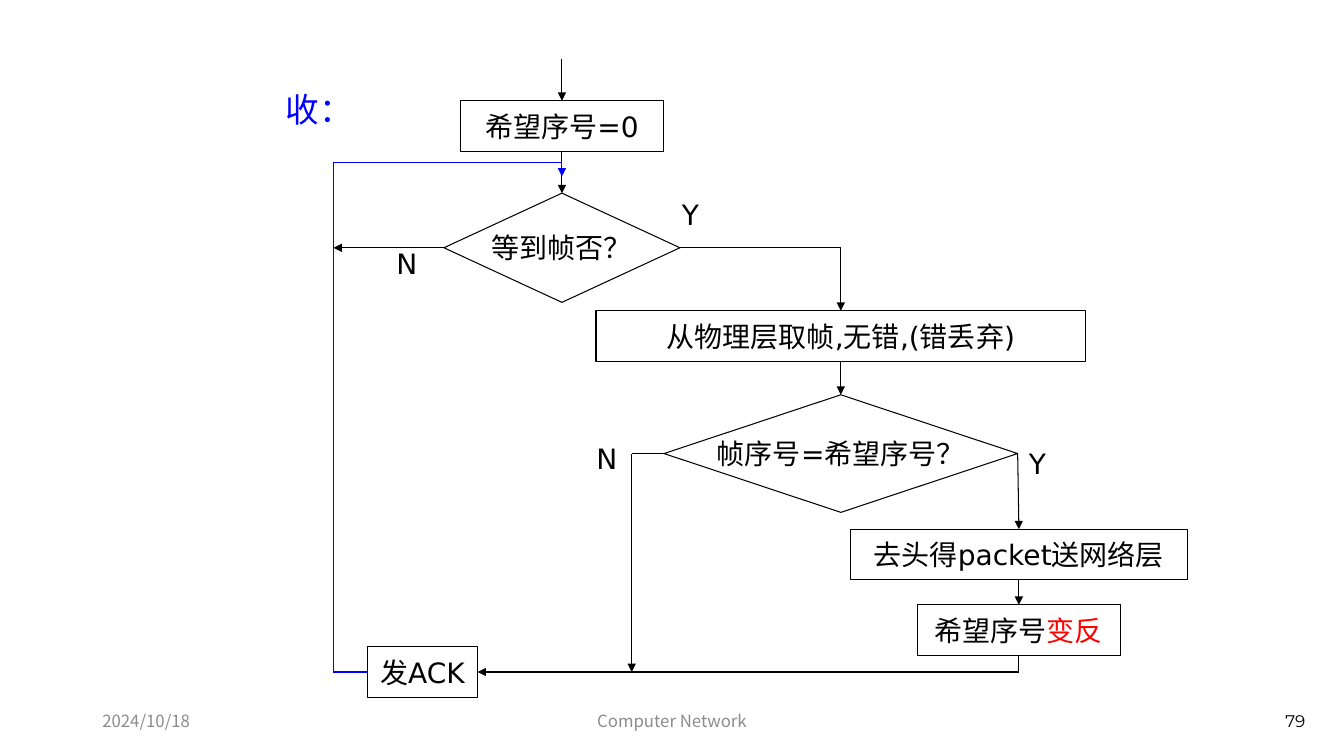
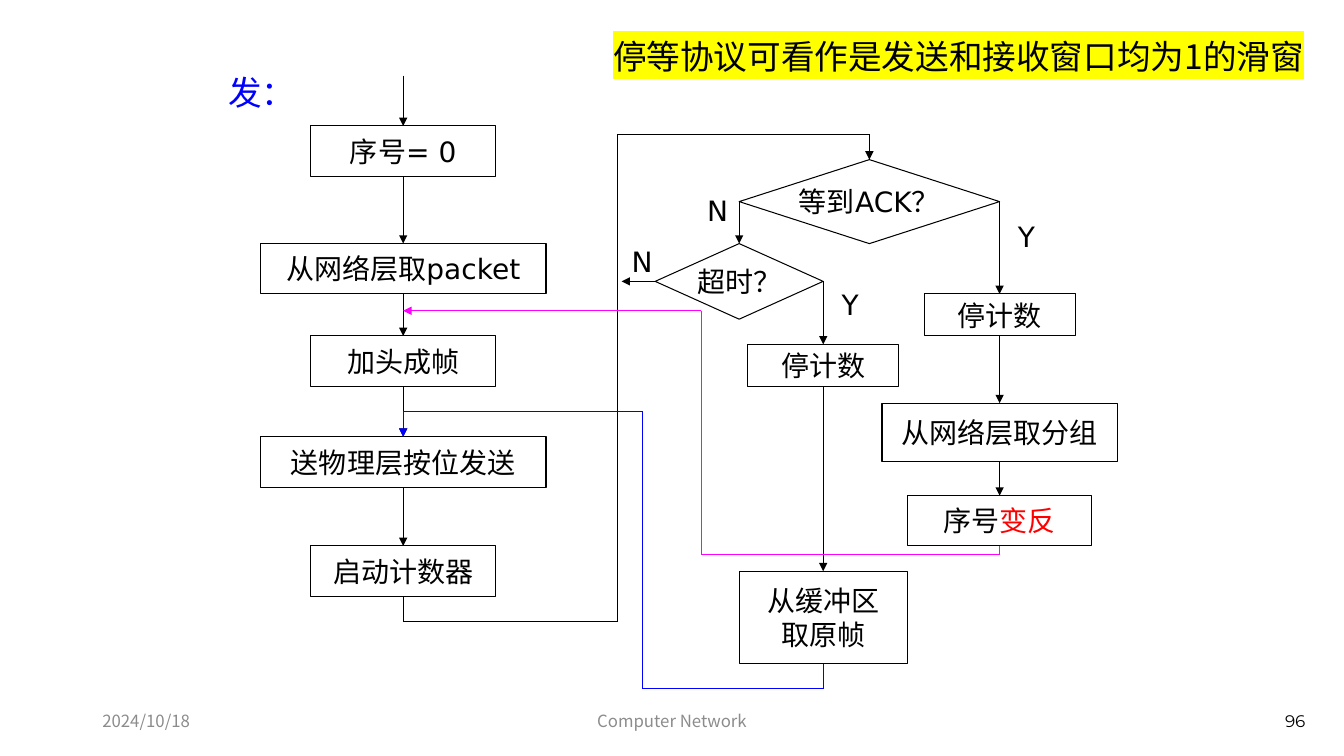
from itertools import pairwise

from lxml import etree
from pptx import Presentation
from pptx.dml.color import RGBColor
from pptx.enum.shapes import MSO_CONNECTOR, MSO_SHAPE
from pptx.enum.text import MSO_ANCHOR, PP_ALIGN
from pptx.oxml.ns import qn
from pptx.util import Inches, Pt

PROCESS = MSO_SHAPE.FLOWCHART_PROCESS
DECISION = MSO_SHAPE.FLOWCHART_DECISION
DIAMOND = MSO_SHAPE.DIAMOND
STRAIGHT = MSO_CONNECTOR.STRAIGHT
LEFT_ALIGN, CENTER, RIGHT_ALIGN = PP_ALIGN.LEFT, PP_ALIGN.CENTER, PP_ALIGN.RIGHT
ANCHOR_TOP, ANCHOR_MIDDLE = MSO_ANCHOR.TOP, MSO_ANCHOR.MIDDLE
TOP, LEFT, BOTTOM, RIGHT = range(4)

COLORS = {"ink": "000000", "blue": "0000FF", "magenta": "FF00FF",
          "red": "FF0000", "gray": "8C8C8C", "yellow": "FFFF00"}
SANS, CJK, NUMBER = "DejaVu Sans", "Noto Sans CJK SC", "Montserrat"
WIDTH, HEIGHT = Inches(13.33), Inches(7.5)
COLUMNS, ROWS = 160, 90
FOOTER_TOP, FOOTER_HEIGHT = 83.4, 4.8

# Lengths below are grid cells: a box is centre x, centre y, width, height.
RECEIVER = {
    "number": "79",
    "heading": ("收：", 32.8, 10),
    "labels": [("N", 69.8, 52), ("Y", 121.3, 52.6), ("Y", 80, 22.9), ("N", 46, 28.7)],
    "boxes": {
        "init": (PROCESS, 66.9, 15, 24.1, 6, "希望序号=0"),
        "wait": (DECISION, 66.9, 29.5, 28.1, 13, "等到帧否？"),
        "get": (PROCESS, 100.1, 40, 58.3, 6, "从物理层取帧,无错,(错丢弃)"),
        "compare": (DIAMOND, 100.1, 54, 42.1, 14, "帧序号=希望序号？"),
        "strip": (PROCESS, 121.3, 66, 40.1, 6, "去头得packet送网络层"),
        "flip": (PROCESS, 121.3, 75, 24.1, 6, "希望序号|变反"),
        "ack": (PROCESS, 50.3, 80, 13.1, 6, "发ACK"),
    },
    "routes": [
        ("ink", [(66.9, 7), ("init", TOP)]),
        ("ink", [("init", BOTTOM), ("wait", TOP)]),
        ("ink", [("wait", RIGHT), (100.1, 29.5), ("get", TOP)]),
        ("ink", [("wait", LEFT), (39.7, 29.5)]),
        ("ink", [("get", BOTTOM), ("compare", TOP)]),
        ("ink", [("compare", LEFT), (75.2, 54), (75.2, 80)]),
        ("ink", [("compare", RIGHT), ("strip", TOP)]),
        ("ink", [("strip", BOTTOM), ("flip", TOP)]),
        ("ink", [("flip", BOTTOM), (121.3, 80), ("ack", RIGHT)]),
        ("blue", [("ack", LEFT), (39.7, 80), (39.7, 19.3), (66.9, 19.3), (66.9, 21)]),
    ],
}

SENDER = {
    "number": "96",
    "heading": ("发：", 26, 8),
    "note": ("停等协议可看作是发送和接收窗口均为1的滑窗", 71.8, 3.7, 85.3, 6),
    "labels": [("N", 83, 22.5), ("Y", 120, 25.5), ("N", 74, 28.5), ("Y", 99, 33.6)],
    "boxes": {
        "init": (PROCESS, 48, 18, 22, 6, "序号= 0"),
        "fetch": (PROCESS, 48, 32, 34, 6, "从网络层取packet"),
        "frame": (PROCESS, 48, 43, 22, 6, "加头成帧"),
        "send": (PROCESS, 48, 55, 34, 6, "送物理层按位发送"),
        "timer": (PROCESS, 48, 68, 22, 6, "启动计数器"),
        "ack": (DIAMOND, 103.5, 24, 31, 10, "等到ACK？"),
        "timeout": (DIAMOND, 88, 33.5, 20, 9, "超时？"),
        "ack stop": (PROCESS, 119, 37.5, 18, 5, "停计数"),
        "next": (PROCESS, 119, 51.5, 28, 7, "从网络层取分组"),
        "flip": (PROCESS, 119, 62, 22, 6, "序号|变反"),
        "timeout stop": (PROCESS, 98, 43.5, 18, 5, "停计数"),
        "buffer": (PROCESS, 98, 73.5, 20, 11, "从缓冲区\n取原帧"),
    },
    "routes": [
        ("ink", [(48, 9), ("init", TOP)]),
        ("ink", [("init", BOTTOM), ("fetch", TOP)]),
        ("ink", [("fetch", BOTTOM), ("frame", TOP)]),
        ("ink", [("frame", BOTTOM), ("send", TOP)]),
        ("ink", [("send", BOTTOM), ("timer", TOP)]),
        ("ink", [("timer", BOTTOM), (48, 74), (73.5, 74), (73.5, 16), (103.5, 16), ("ack", TOP)]),
        ("ink", [("ack", LEFT), ("timeout", TOP)]),
        ("ink", [("ack", RIGHT), ("ack stop", TOP)]),
        ("ink", [("timeout", LEFT), (74, 33.5)]),
        ("ink", [("timeout", RIGHT), ("timeout stop", TOP)]),
        ("ink", [("timeout stop", BOTTOM), ("buffer", TOP)]),
        ("ink", [("ack stop", BOTTOM), ("next", TOP)]),
        ("ink", [("next", BOTTOM), ("flip", TOP)]),
        ("blue", [("buffer", BOTTOM), (98, 82), (76.5, 82), (76.5, 49), (48, 49), ("send", TOP)]),
        ("magenta", [("flip", BOTTOM), (119, 66), (83.5, 66), (83.5, 37), (48, 37)]),
    ],
}


def rgb(name):
    return RGBColor.from_string(COLORS[name])


def across(cells):
    return round(WIDTH * cells / COLUMNS)


def down(cells):
    return round(HEIGHT * cells / ROWS)


def area(left, top, width, height):
    return across(left), down(top), across(width), down(height)


def write(shape, text, size=20, color="ink", font=SANS, align=CENTER,
          anchor=ANCHOR_MIDDLE, wrap=False, highlight=None):
    frame = shape.text_frame
    frame.word_wrap = wrap
    frame.vertical_anchor = anchor
    for index, line in enumerate(text.split("\n")):
        para = frame.add_paragraph() if index else frame.paragraphs[0]
        para.alignment = align
        para.font.size = Pt(size)
        para.font.name = font
        para.font.color.rgb = rgb(color)
        defaults = para._p.pPr.find(qn("a:defRPr"))
        etree.SubElement(defaults, qn("a:ea"), typeface=CJK)
        for part, words in enumerate(line.split("|")):
            span = para.add_run()
            span.text = words
            if part:
                span.font.color.rgb = rgb("red")
            if highlight:
                mark = etree.SubElement(span._r.get_or_add_rPr(), qn("a:highlight"))
                etree.SubElement(mark, qn("a:srgbClr"), val=COLORS[highlight])


def add_text(page, text, place, **style):
    write(page.shapes.add_textbox(*area(*place)), text, **style)


def add_box(page, kind, x, y, width, height, text):
    box = page.shapes.add_shape(kind, *area(x - width / 2, y - height / 2, width, height))
    box.shadow.inherit = False
    box.fill.background()
    box.line.color.rgb = rgb("ink")
    box.line.width = Pt(0.75)
    write(box, text)
    return box


def locate(stop, boxes):
    if not isinstance(stop[0], str):
        return across(stop[0]), down(stop[1])
    name, side = stop
    _, x, y, width, height, _ = boxes[name]
    step_x, step_y = {TOP: (0, -1), LEFT: (-1, 0), BOTTOM: (0, 1), RIGHT: (1, 0)}[side]
    return across(x + step_x * width / 2), down(y + step_y * height / 2)


def add_route(page, color, stops, boxes, drawn):
    for start, end in pairwise(stops):
        line = page.shapes.add_connector(STRAIGHT, *locate(start, boxes), *locate(end, boxes))
        line.line.color.rgb = rgb(color)
        line.line.width = Pt(0.75)
        if isinstance(start[0], str):
            line.begin_connect(drawn[start[0]], start[1])
        if isinstance(end[0], str):
            line.end_connect(drawn[end[0]], end[1])
        etree.SubElement(line._element.spPr, qn("a:effectLst"))
    etree.SubElement(line.line._get_or_add_ln(), qn("a:tailEnd"), type="triangle")


def add_footer(page, number):
    for text, left, width, align, font, color in (
        ("2024/10/18", 11, 36, LEFT_ALIGN, CJK, "gray"),
        ("Computer Network", 53, 54, CENTER, CJK, "gray"),
        (number, 113, 43.6, RIGHT_ALIGN, NUMBER, "ink"),
    ):
        add_text(page, text, (left, FOOTER_TOP, width, FOOTER_HEIGHT),
                 size=12, color=color, font=font, align=align, wrap=True)


def add_flowchart(deck, chart):
    page = deck.slides.add_slide(deck.slide_layouts[6])
    add_footer(page, chart["number"])
    boxes = chart["boxes"]
    drawn = {name: add_box(page, *box) for name, box in boxes.items()}
    for color, stops in chart["routes"]:
        add_route(page, color, stops, boxes, drawn)
    text, left, top = chart["heading"]
    add_text(page, text, (left, top, 10.4, 6), size=24, color="blue",
             align=LEFT_ALIGN, anchor=ANCHOR_TOP)
    for text, left, top in chart["labels"]:
        add_text(page, text, (left, top, 4.9, 5.2), align=LEFT_ALIGN, anchor=ANCHOR_TOP)
    if "note" in chart:
        text, *place = chart["note"]
        add_text(page, text, place, size=24, font=CJK, align=LEFT_ALIGN,
                 anchor=ANCHOR_TOP, wrap=True, highlight="yellow")


def main():
    deck = Presentation()
    deck.slide_width, deck.slide_height = WIDTH, HEIGHT
    for chart in (RECEIVER, SENDER):
        add_flowchart(deck, chart)
    deck.save("out.pptx")


if __name__ == "__main__":
    main()
